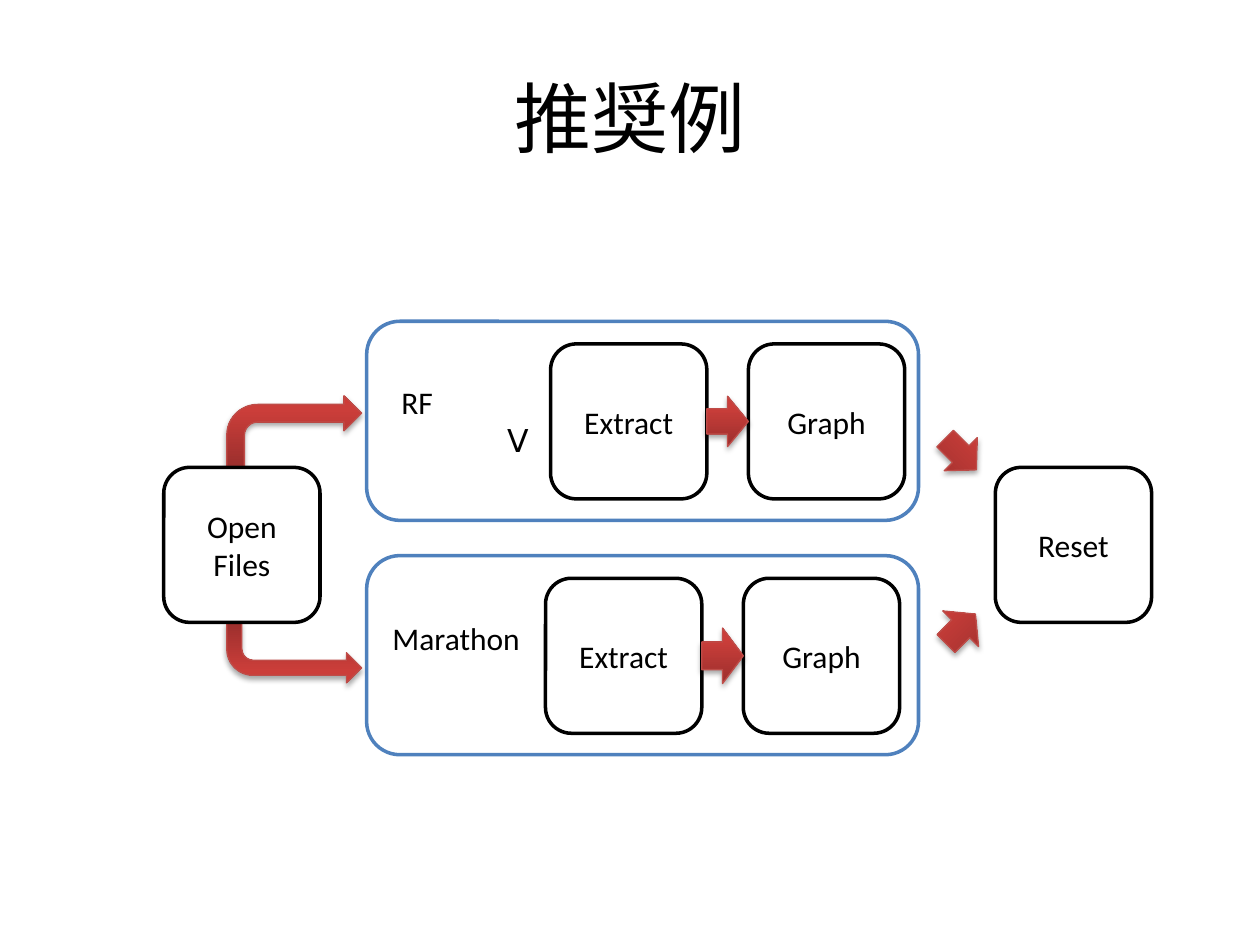
from dataclasses import dataclass

from lxml.etree import fromstring
from pptx import Presentation
from pptx.dml.color import RGBColor
from pptx.enum.shapes import MSO_SHAPE
from pptx.enum.text import MSO_ANCHOR, PP_ALIGN
from pptx.oxml.ns import nsdecls
from pptx.util import Inches, Pt


@dataclass(frozen=True)
class Theme:
    """Colours, type sizes and line widths of the slide."""
    font: str = "Calibri"
    title: int = 44
    body: int = 18
    ink: str = "000000"
    paper: str = "FFFFFF"
    lane: str = "4F81BD"
    arrow_line: str = "BF4C48"
    arrow_stops: tuple = ((0, "9C2F2D"), (80, "CB3E3A"), (100, "CE3B37"))
    outline: float = 2
    arrow_outline: float = 0.75


THEME = Theme()
COLS, ROWS = 100, 75
WIDTH, HEIGHT = Inches(10), Inches(7.5)
BOX_W, BOX_H = 12.4, 12.3
BOX_GAP = 3.3
SIDE_TOP = 37.1


def place(x, y, w, h):
    """Turn grid columns and rows into slide lengths."""
    return (int(x * WIDTH / COLS), int(y * HEIGHT / ROWS),
            int(w * WIDTH / COLS), int(h * HEIGHT / ROWS))


def write(tf, lines, size, align=PP_ALIGN.CENTER, indents=()):
    """Fill a text frame with one paragraph per line."""
    tf.word_wrap = True
    tf.vertical_anchor = MSO_ANCHOR.MIDDLE
    for i, line in enumerate(lines):
        p = tf.paragraphs[0] if i == 0 else tf.add_paragraph()
        p.text = line
        p.alignment = align
        p.font.name = THEME.font
        p.font.size = Pt(size)
        p.font.color.rgb = RGBColor.from_string(THEME.ink)
        if indents:
            p._p.get_or_add_pPr().set("marL", str(Inches(indents[i])))


def add_panel(slide, x, y, w, h, line):
    """Add a white rounded rectangle with a coloured outline."""
    sp = slide.shapes.add_shape(MSO_SHAPE.ROUNDED_RECTANGLE, *place(x, y, w, h))
    sp.shadow.inherit = False
    sp.fill.solid()
    sp.fill.fore_color.rgb = RGBColor.from_string(THEME.paper)
    sp.line.color.rgb = RGBColor.from_string(line)
    sp.line.width = Pt(THEME.outline)
    return sp


def add_box(slide, x, y, label):
    """Add a black-edged step box."""
    sp = add_panel(slide, x, y, BOX_W, BOX_H, THEME.ink)
    write(sp.text_frame, [label], THEME.body)


def add_lane(slide, y, lines, indents, lift=0):
    """Add a blue-edged lane with its label at the left."""
    sp = add_panel(slide, 29.1, y, 43.8, 15.8, THEME.lane)
    write(sp.text_frame, lines, THEME.body, PP_ALIGN.LEFT, indents)
    sp.text_frame.margin_bottom += Inches(lift)


def add_arrow(slide, x, y, w, h, kind=MSO_SHAPE.RIGHT_ARROW, rotation=0, flip=False):
    """Add a red gradient block arrow with a soft shadow."""
    sp = slide.shapes.add_shape(kind, *place(x, y, w, h))
    sp.rotation = rotation
    sp.line.color.rgb = RGBColor.from_string(THEME.arrow_line)
    sp.line.width = Pt(THEME.arrow_outline)
    spPr = sp._element.spPr
    if flip:
        spPr.xfrm.set("flipV", "1")
    stops = "".join(f'<a:gs pos="{pos * 1000}"><a:srgbClr val="{color}"/></a:gs>'
                    for pos, color in THEME.arrow_stops)
    spPr.insert(2, fromstring(
        f'<a:gradFill {nsdecls("a")} rotWithShape="1"><a:gsLst>{stops}</a:gsLst>'
        '<a:lin ang="16200000" scaled="0"/></a:gradFill>'))
    spPr.append(fromstring(
        f'<a:effectLst {nsdecls("a")}><a:outerShdw blurRad="{Pt(3.1)}" '
        f'dist="{Pt(1.8)}" dir="5400000" rotWithShape="0">'
        f'<a:srgbClr val="{THEME.ink}"><a:alpha val="35000"/></a:srgbClr>'
        '</a:outerShdw></a:effectLst>'))


def add_steps(slide, x, y, arrow_h):
    """Add the Extract and Graph boxes and the arrow between them."""
    for i, label in enumerate(("Extract", "Graph")):
        add_box(slide, x + i * (BOX_W + BOX_GAP), y, label)
    add_arrow(slide, x + BOX_W, y + (BOX_H - arrow_h) / 2, BOX_GAP, arrow_h)


def main():
    """Build and save the slide."""
    prs = Presentation()
    prs.slide_width, prs.slide_height = WIDTH, HEIGHT
    slide = prs.slides.add_slide(prs.slide_layouts[6])

    title = slide.shapes.add_textbox(*place(5, 3, 90, 12.5))
    write(title.text_frame, ["推奨例"], THEME.title)

    add_lane(slide, 44.1, ["Marathon"], [0.03], lift=0.27)
    add_lane(slide, 25.5, ["RF", "Ⅴ"], [0.1, 0.94])
    add_steps(slide, 43.7, 27.3, 4)
    add_steps(slide, 43.3, 45.9, 4.4)

    add_arrow(slide, 18, 31.4, 10.7, 5.6, MSO_SHAPE.BENT_ARROW)
    add_arrow(slide, 18, 49.4, 10.7, 4.8, MSO_SHAPE.BENT_ARROW, flip=True)
    add_arrow(slide, 74.5, 34.2, 3.5, 3.7, rotation=45)
    add_arrow(slide, 74.6, 47.9, 3.3, 4, rotation=315)
    add_box(slide, 13, SIDE_TOP, "Open Files")
    add_box(slide, 79, SIDE_TOP, "Reset")

    prs.save("out.pptx")


if __name__ == "__main__":
    main()
